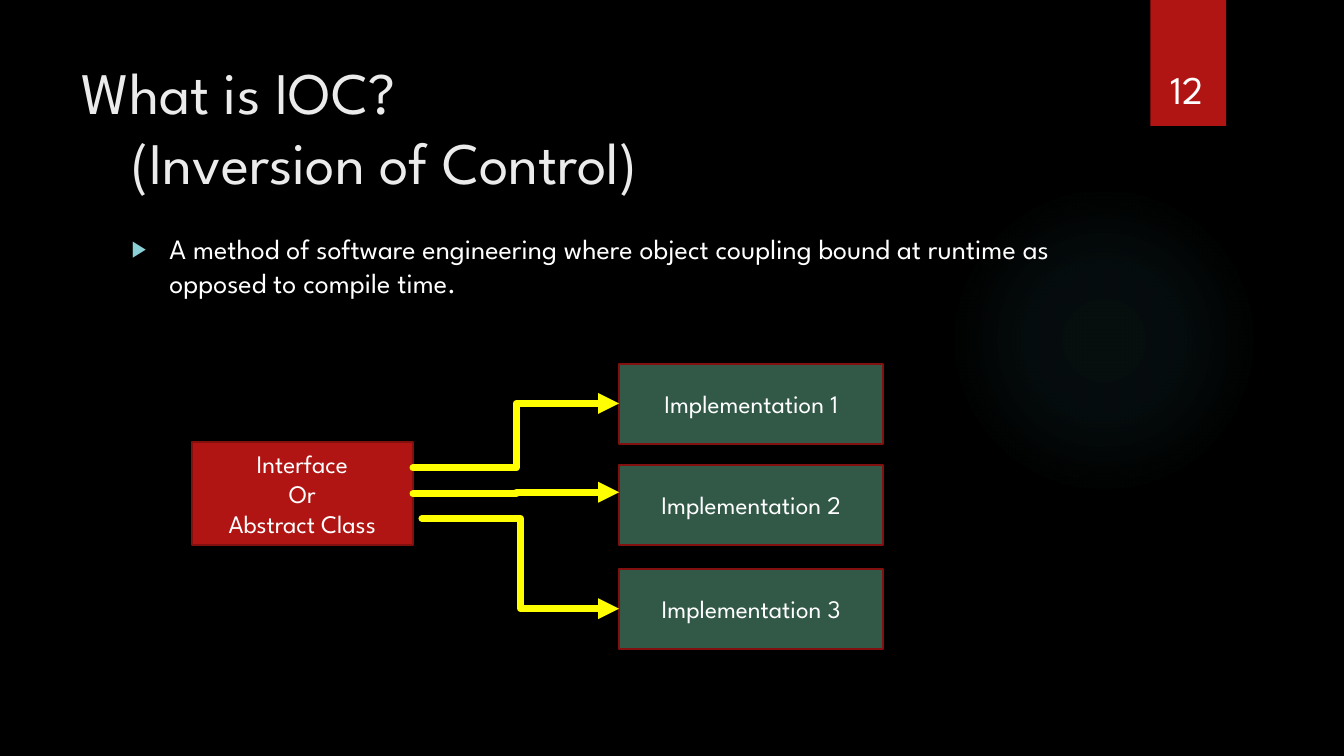
"""Build the slide that explains inversion of control."""
from lxml import etree
from pptx import Presentation
from pptx.dml.color import RGBColor
from pptx.enum.shapes import MSO_CONNECTOR, MSO_SHAPE
from pptx.enum.text import MSO_ANCHOR, PP_ALIGN
from pptx.oxml.ns import qn
from pptx.util import Pt

FONT = "League Spartan"
RECTANGLE, OVAL, ELBOW = MSO_SHAPE.RECTANGLE, MSO_SHAPE.OVAL, MSO_CONNECTOR.ELBOW
TOP, MIDDLE, BOTTOM = MSO_ANCHOR.TOP, MSO_ANCHOR.MIDDLE, MSO_ANCHOR.BOTTOM
LEFT, CENTER = PP_ALIGN.LEFT, PP_ALIGN.CENTER
COLORS = {
    "background": "000000", "glow": "50B9C1", "red": "B01513", "border": "82100E",
    "green": "325948", "arrow": "FFFF00", "title": "EBEBEB", "text": "FFFFFF",
    "bullet": "8AD0D6",
}

TITLE = "What is IOC?\v\t(Inversion of Control)"
DEFINITION = ("A method of software engineering where object coupling bound "
              "at runtime as opposed to compile time.")
PAGE_NUMBER = "12"
INTERFACE = "Interface\nOr\nAbstract Class"
INTERFACE_AREA = (137, 316, 157.8, 73)
IMPLEMENTATIONS = [("Implementation 1", 260), ("Implementation 2", 332),
                   ("Implementation 3", 406.3)]
IMPLEMENTATION_LEFT, IMPLEMENTATION_WIDTH, IMPLEMENTATION_HEIGHT = 442.2, 188.8, 57
ARROW_STARTS = [(295, 334.2), (295, 352.6), (301.4, 370.4)]
ARROW_END_HEIGHTS = [288.2, 351.6, 434.8]
GLOW_STOPS = [(0, 7), (36, 6), (69, 0)]
TAB_STOP, BULLET_INDENT = 36, 27


def color(name):
    return RGBColor.from_string(COLORS[name])


def add_element(parent, tag, **attributes):
    return etree.SubElement(parent, qn(tag), attributes)


def write(shape, text, size, ink="text", align=CENTER, anchor=MIDDLE):
    frame = shape.text_frame
    frame.word_wrap = True
    frame.vertical_anchor = anchor
    frame.text = text
    for para in frame.paragraphs:
        para.alignment = align
        for span in para.runs:
            span.font.name = FONT
            span.font.size = Pt(size)
            span.font.color.rgb = color(ink)
    return frame.paragraphs[0]


def add_text(page, area, text, size, **style):
    box = page.shapes.add_textbox(*map(Pt, area))
    return write(box, text, size, **style)


def add_shape(page, kind, area, fill, border=None):
    shape = page.shapes.add_shape(kind, *map(Pt, area))
    shape.shadow.inherit = False
    shape.fill.solid()
    shape.fill.fore_color.rgb = color(fill)
    if border:
        shape.line.color.rgb = color(border)
        shape.line.width = Pt(1.5)
    else:
        shape.line.fill.background()
    return shape


def add_glow(page):
    glow = add_shape(page, OVAL, (677.5, 131.8, 221.8, 221.8), "glow")
    properties = glow._element.spPr
    gradient = etree.Element(qn("a:gradFill"), rotWithShape="1")
    stops = add_element(gradient, "a:gsLst")
    for position, opacity in GLOW_STOPS:
        stop = add_element(stops, "a:gs", pos=str(position * 1000))
        shade = add_element(stop, "a:srgbClr", val=COLORS["glow"])
        add_element(shade, "a:alpha", val=str(opacity * 1000))
    circle = add_element(gradient, "a:path", path="circle")
    add_element(circle, "a:fillToRect", l="50000", t="50000", r="50000", b="50000")
    properties.replace(properties.find(qn("a:solidFill")), gradient)


def add_arrow(page, start, end):
    arrow = page.shapes.add_connector(ELBOW, *map(Pt, start + end))
    arrow.line.color.rgb = color("arrow")
    arrow.line.width = Pt(5)
    line = arrow.line._get_or_add_ln()
    line.set("cap", "rnd")
    add_element(line, "a:tailEnd", type="triangle")
    add_element(arrow._element.spPr, "a:effectLst")


def add_tab_stop(para):
    tabs = add_element(para._p.get_or_add_pPr(), "a:tabLst")
    add_element(tabs, "a:tab", pos=str(Pt(TAB_STOP)), algn="l")


def add_bullet(para):
    para.space_before = Pt(10)
    properties = para._p.get_or_add_pPr()
    properties.set("marL", str(Pt(BULLET_INDENT)))
    properties.set("indent", str(-Pt(BULLET_INDENT)))
    ink = add_element(properties, "a:buClr")
    add_element(ink, "a:srgbClr", val=COLORS["bullet"])
    add_element(properties, "a:buSzPct", val="80000")
    add_element(properties, "a:buFont", typeface="Arial")
    add_element(properties, "a:buChar", char="▶")


def main():
    deck = Presentation()
    deck.slide_width, deck.slide_height = Pt(960), Pt(540)
    page = deck.slides.add_slide(deck.slide_layouts[6])
    page.background.fill.solid()
    page.background.fill.fore_color.rgb = color("background")

    add_glow(page)
    add_shape(page, RECTANGLE, (821.8, 0, 54, 90), "red")
    add_tab_stop(add_text(page, (51, 36, 741, 110), TITLE, 42, ink="title",
                          align=LEFT, anchor=TOP))
    add_bullet(add_text(page, (87, 162, 704, 330.5), DEFINITION, 20,
                        align=LEFT, anchor=TOP))
    add_text(page, (815, 23, 66, 60.5), PAGE_NUMBER, 28, anchor=BOTTOM)

    write(add_shape(page, RECTANGLE, INTERFACE_AREA, "red", "border"), INTERFACE, 18)
    for label, top in IMPLEMENTATIONS:
        area = (IMPLEMENTATION_LEFT, top, IMPLEMENTATION_WIDTH, IMPLEMENTATION_HEIGHT)
        write(add_shape(page, RECTANGLE, area, "green", "border"), label, 18)
    for start, height in zip(ARROW_STARTS, ARROW_END_HEIGHTS):
        add_arrow(page, start, (IMPLEMENTATION_LEFT, height))

    deck.save("out.pptx")


if __name__ == "__main__":
    main()
